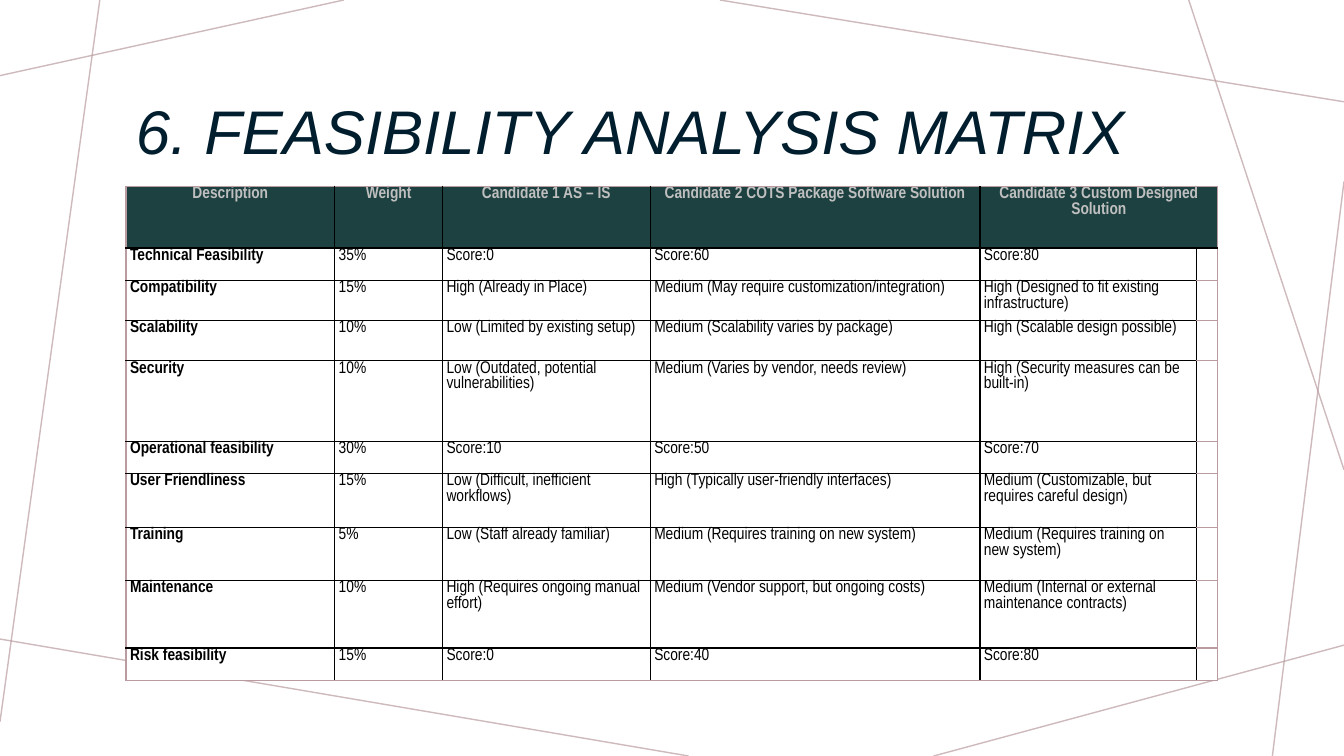
from dataclasses import dataclass

from lxml.etree import SubElement as Sub
from pptx import Presentation
from pptx.dml.color import RGBColor as RGB
from pptx.enum.shapes import MSO_CONNECTOR as Conn
from pptx.enum.text import MSO_ANCHOR as Anchor, PP_ALIGN as Align
from pptx.oxml.ns import qn
from pptx.util import Inches, Pt

HUES = {
    "rose": "BA9CA0",
    "navy": "001E2E",
    "teal": "1D4140",
    "grey": "BFBFBF",
    "black": "000000",
    "white": "FFFFFF",
}


@dataclass
class Ray:
    x1: float
    y1: float
    x2: float
    y2: float


@dataclass
class Row:
    high: float
    texts: tuple[str, ...]


RAYS = [
    Ray(3.41, 0, 0, 0.75),
    Ray(0.99, 0, 0, 7.16),
    Ray(6.83, 7.5, 0, 6.34),
    Ray(13.33, 6.4, 9.26, 7.5),
    Ray(13.33, 1.8, 12.62, 7.5),
    Ray(13.33, 4.66, 11.79, 0),
    Ray(13.33, 1.01, 7.14, 0),
]

WIDTHS = [2.07, 1.07, 2.06, 3.27, 2.15, 0.21]
ROWS = [
    Row(0.61, ("Description", "Weight", "Candidate 1 AS – IS",
               "Candidate 2 COTS Package Software Solution",
               "Candidate 3 Custom Designed Solution")),
    Row(0.32, ("Technical Feasibility", "35%", "Score:0", "Score:60", "Score:80")),
    Row(0.4, ("Compatibility", "15%", "High (Already in Place)",
              "Medium (May require customization/integration)",
              "High (Designed to fit existing infrastructure)")),
    Row(0.4, ("Scalability", "10%", "Low (Limited by existing setup)",
              "Medium (Scalability varies by package)",
              "High (Scalable design possible)")),
    Row(0.8, ("Security", "10%", "Low (Outdated, potential vulnerabilities)",
              "Medium (Varies by vendor, needs review)",
              "High (Security measures can be built-in)")),
    Row(0.32, ("Operational feasibility", "30%", "Score:10", "Score:50", "Score:70")),
    Row(0.53, ("User Friendliness", "15%", "Low (Difficult, inefficient workflows)",
               "High (Typically user-friendly interfaces)",
               "Medium (Customizable, but requires careful design)")),
    Row(0.53, ("Training", "5%", "Low (Staff already familiar)",
               "Medium (Requires training on new system)",
               "Medium (Requires training on new system)")),
    Row(0.67, ("Maintenance", "10%", "High (Requires ongoing manual effort)",
               "Medium (Vendor support, but ongoing costs)",
               "Medium (Internal or external maintenance contracts)")),
    Row(0.32, ("Risk feasibility", "15%", "Score:0", "Score:40", "Score:80")),
]


def put_text(frame, text: str, *, font: str, size: float, hue: str,
             bold: bool = False, slant: bool = False,
             align: Align = Align.LEFT, lead: float = 1.0) -> None:
    par = frame.paragraphs[0]
    par.alignment = align
    par.line_spacing = lead
    run = par.add_run()
    run.text = text
    run.font.name = font
    run.font.size = Pt(size)
    run.font.bold = bold
    run.font.italic = slant
    run.font.color.rgb = RGB.from_string(HUES[hue])


def draw_ray(slide, ray: Ray) -> None:
    ends = [Inches(v) for v in (ray.x1, ray.y1, ray.x2, ray.y2)]
    line = slide.shapes.add_connector(Conn.STRAIGHT, *ends)
    line.line.width = Pt(1)
    line.line.color.rgb = RGB.from_string(HUES["rose"])
    props = line._element.spPr
    tone = props.find(".//" + qn("a:srgbClr"))
    Sub(tone, qn("a:alpha"), val="70000")
    Sub(props, qn("a:effectLst"))


def set_edges(cell, hues: dict[str, str]) -> None:
    props = cell._tc.get_or_add_tcPr()
    for side in "LRTB":
        edge = Sub(props, qn(f"a:ln{side}"), w=str(Pt(1)))
        fill = Sub(edge, qn("a:solidFill"))
        Sub(fill, qn("a:srgbClr"), val=HUES[hues[side]])


def draw_cell(cell, text: str, row: int, col: int) -> None:
    head, spare = row == 0, col == len(WIDTHS) - 1
    last = row == len(ROWS) - 1
    # Rose on the outer frame and spare column, black inside
    rose = {
        "L": col == 0,
        "R": spare or (head and col == len(WIDTHS) - 2),
        "T": head or (spare and row > 1),
        "B": last or (spare and not head),
    }
    set_edges(cell, {s: "rose" if on else "black" for s, on in rose.items()})
    cell.fill.solid()
    cell.fill.fore_color.rgb = RGB.from_string(HUES["teal" if head else "white"])
    cell.margin_left = cell.margin_right = Inches(0.04)
    cell.margin_top = cell.margin_bottom = 0
    if text:
        put_text(cell.text_frame, text, font="Arial Narrow", size=12,
                 hue="grey" if head else "black", bold=head or col == 0,
                 align=Align.CENTER if head else Align.LEFT)
    else:
        Sub(cell.text_frame.paragraphs[0]._p, qn("a:endParaRPr"), sz="1200")


def draw_grid(slide) -> None:
    tall = sum(row.high for row in ROWS)
    grid = slide.shapes.add_table(len(ROWS), len(WIDTHS), Inches(1.25), Inches(1.85),
                                  Inches(sum(WIDTHS)), Inches(tall)).table
    grid.horz_banding = False
    for col, wide in enumerate(WIDTHS):
        grid.columns[col].width = Inches(wide)
    for r, row in enumerate(ROWS):
        grid.rows[r].height = Inches(row.high)
        for c, text in enumerate((*row.texts, "")):
            draw_cell(grid.cell(r, c), text, r, c)
    grid.cell(0, 4).merge(grid.cell(0, 5))


def main() -> None:
    deck = Presentation()
    deck.slide_width, deck.slide_height = Inches(13.33), Inches(7.5)
    slide = deck.slides.add_slide(deck.slide_layouts[6])

    # Background lines
    for ray in RAYS:
        draw_ray(slide, ray)

    # Title
    box = slide.shapes.add_textbox(Inches(1.25), Inches(0.58), Inches(10.83), Inches(1.51))
    frame = box.text_frame
    frame.word_wrap = True
    frame.vertical_anchor = Anchor.MIDDLE
    put_text(frame, "6. FEASIBILITY ANALYSIS MATRIX", font="Arial", size=44,
             hue="navy", slant=True, lead=0.9)

    # Feasibility table
    draw_grid(slide)
    deck.save("out.pptx")


if __name__ == "__main__":
    main()
